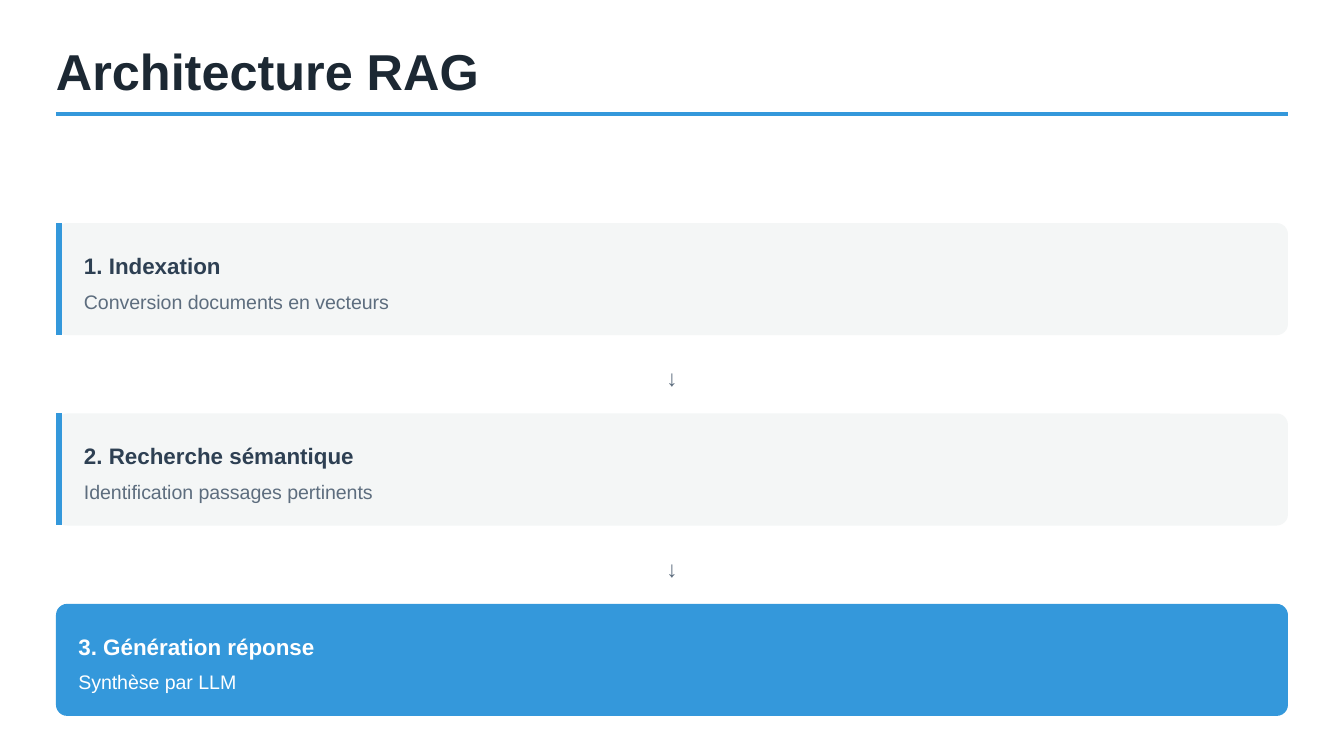
import pptx
import pptx.util
import pptx.dml.color
import pptx.enum.shapes
import pptx.enum.text
import pptx.oxml.ns
import lxml.etree

Inches = pptx.util.Inches
Pt = pptx.util.Pt

COLORS = {
    "background": "FFFFFF",
    "title": "1C2833",
    "heading": "2E4053",
    "muted": "5D6D7E",
    "accent": "3498DB",
    "card": "F4F6F6",
    "white": "FFFFFF",
}


class SlideBuilder:
    """Holds the style and the current slide."""

    font = "Arial"

    def __init__(self, slide):
        self.slide = slide
        fill = slide.background.fill
        fill.solid()
        fill.fore_color.rgb = self.color("background")

    def color(self, name):
        return pptx.dml.color.RGBColor.from_string(COLORS[name])

    def line(self, start, end, color, width):
        points = [Inches(value) for value in (*start, *end)]
        connector = self.slide.shapes.add_connector(
            pptx.enum.shapes.MSO_CONNECTOR.STRAIGHT, *points)
        connector.line.color.rgb = self.color(color)
        connector.line.width = Pt(width)
        properties = connector._element.spPr
        lxml.etree.SubElement(properties, pptx.oxml.ns.qn("a:effectLst"))

    def card(self, left, top, width, height, color):
        card = self.slide.shapes.add_shape(
            pptx.enum.shapes.MSO_SHAPE.ROUNDED_RECTANGLE,
            Inches(left), Inches(top), Inches(width), Inches(height))
        card.adjustments[0] = 0.1
        card.shadow.inherit = False
        card.fill.solid()
        card.fill.fore_color.rgb = self.color(color)
        card.line.fill.background()

    def text(self, left, top, width, height, words, size, color, spacing,
             bold=False, before=0, after=0, align="LEFT"):
        box = self.slide.shapes.add_textbox(
            Inches(left), Inches(top), Inches(width), Inches(height))
        frame = box.text_frame
        frame.word_wrap = True
        frame.margin_left = frame.margin_right = 0
        frame.margin_top = frame.margin_bottom = 0
        para = frame.paragraphs[0]
        para.alignment = pptx.enum.text.PP_ALIGN[align]
        para.line_spacing = Pt(spacing)
        para.space_before = Pt(before)
        para.space_after = Pt(after)
        span = para.add_run()
        span.text = words
        span.font.name = self.font
        span.font.size = Pt(size)
        span.font.bold = bold
        span.font.color.rgb = self.color(color)


def main():
    # Widescreen 16:9 page
    page_width = 10
    deck = pptx.Presentation()
    deck.slide_width = Inches(page_width)
    deck.slide_height = Inches(page_width * 9 / 16)
    page = SlideBuilder(deck.slides.add_slide(deck.slide_layouts[6]))

    # Grid in twelfths of an inch
    left = 5 / 12
    right = page_width - left
    card_width, card_height = right - left, 10 / 12
    first_top, pitch = 1.66, 17 / 12
    arrow_width = 9.35

    # Title and rule
    page.line((left, 0.85), (right, 0.85), "accent", 2.25)
    page.text(left, 0.33, 4.69, 0.42, "Architecture RAG", 27, "title", 30,
              bold=True)

    # Steps, the last one highlighted
    steps = [
        ("1. Indexation", "Conversion documents en vecteurs"),
        ("2. Recherche sémantique", "Identification passages pertinents"),
        ("3. Génération réponse", "Synthèse par LLM"),
    ]
    for index, (heading, detail) in enumerate(steps):
        top = first_top + index * pitch
        final = index == len(steps) - 1
        text_left = left + (2 if final else 2.5) / 12
        text_width = right - text_left
        page.card(left, top, card_width, card_height,
                  "accent" if final else "card")
        if not final:
            page.line((0.44, top), (0.44, top + card_height), "accent", 3)
        page.text(text_left, top + 2 / 12, text_width, 0.25, heading, 12,
                  "white" if final else "heading", 18, bold=True)
        page.text(text_left, top + 0.46, text_width, 0.21, detail, 10.5,
                  "white" if final else "muted", 15, before=3)
        # Arrow to the next step
        if not final:
            page.text((page_width - arrow_width) / 2, top + 1, arrow_width,
                      0.25, "↓", 12, "muted", 18, before=3, after=3,
                      align="CENTER")

    deck.save("out.pptx")


if __name__ == "__main__":
    main()
